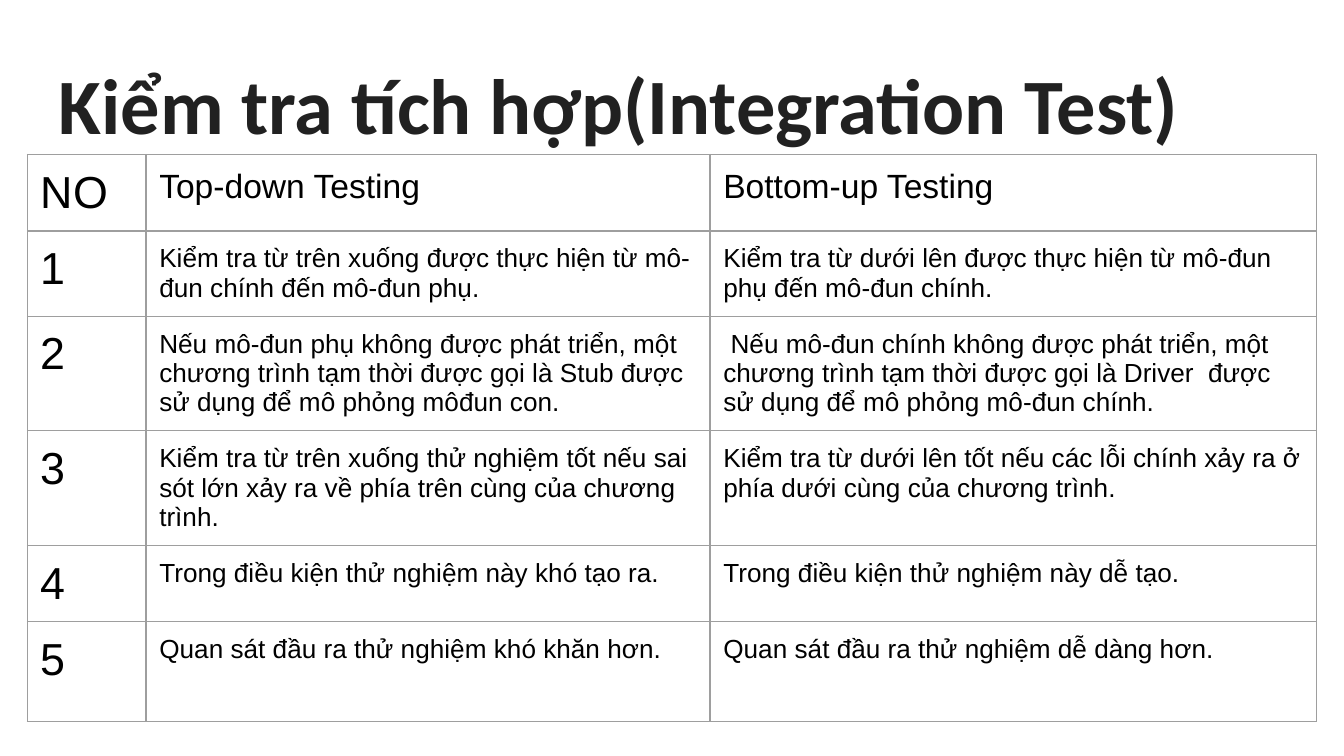
from typing import NamedTuple

from lxml import etree
from pptx import Presentation
from pptx.dml.color import RGBColor
from pptx.enum.text import MSO_ANCHOR, MSO_AUTO_SIZE, PP_ALIGN
from pptx.oxml.ns import qn
from pptx.util import Cm, Pt

TOP = MSO_ANCHOR.TOP
LEFT = PP_ALIGN.LEFT
NO_AUTOFIT = MSO_AUTO_SIZE.NONE
TITLE_LAYOUT = 5

COLORS = {"title": "212121", "text": "000000", "border": "9E9E9E"}
INSET = Cm(0.25)
COL_WIDTHS = [2.24, 10.66, 11.46]
NUMBER_SIZE, HEADER_SIZE, BODY_SIZE = 24, 18, 14


class Row(NamedTuple):
    height: float
    number: str
    top_down: str
    bottom_up: str
    size: int = BODY_SIZE


ROWS = [
    Row(1.43, "NO", "Top-down Testing", "Bottom-up Testing", HEADER_SIZE),
    Row(1.58, "1",
        "Kiểm tra từ trên xuống được thực hiện từ mô-đun chính đến mô-đun phụ.",
        "Kiểm tra từ dưới lên được thực hiện từ mô-đun phụ đến mô-đun chính."),
    Row(2.13, "2",
        "Nếu mô-đun phụ không được phát triển, một chương trình tạm thời "
        "được gọi là Stub được sử dụng để mô phỏng môđun con.",
        " Nếu mô-đun chính không được phát triển, một chương trình tạm thời "
        "được gọi là Driver  được sử dụng để mô phỏng mô-đun chính."),
    Row(2.13, "3",
        "Kiểm tra từ trên xuống thử nghiệm tốt nếu sai sót lớn xảy ra "
        "về phía trên cùng của chương trình.",
        "Kiểm tra từ dưới lên tốt nếu các lỗi chính xảy ra ở phía dưới cùng "
        "của chương trình."),
    Row(1.43, "4",
        "Trong điều kiện thử nghiệm này khó tạo ra.",
        "Trong điều kiện thử nghiệm này dễ tạo."),
    Row(1.88, "5",
        "Quan sát đầu ra thử nghiệm khó khăn hơn.",
        "Quan sát đầu ra thử nghiệm dễ dàng hơn."),
]


def add_run(p, text: str, font: str, size: int, color: str, bold: bool = False) -> None:
    p.alignment = LEFT
    r = p.add_run()
    r.text = text
    r.font.name = font
    r.font.size = Pt(size)
    r.font.bold = bold
    r.font.color.rgb = RGBColor.from_string(COLORS[color])


def set_insets(box) -> None:
    """Give a cell or text frame the same inset on every side."""
    box.margin_left = box.margin_right = INSET
    box.margin_top = box.margin_bottom = INSET
    box.vertical_anchor = TOP


def add_borders(cell) -> None:
    tc_pr = cell._tc.get_or_add_tcPr()
    for i, side in enumerate(("a:lnL", "a:lnR", "a:lnT", "a:lnB")):
        ln = etree.Element(qn(side), w=str(Pt(0.75)))
        fill = etree.SubElement(ln, qn("a:solidFill"))
        etree.SubElement(fill, qn("a:srgbClr"), val=COLORS["border"])
        tc_pr.insert(i, ln)


def fill_cell(cell, text: str, size: int) -> None:
    set_insets(cell)
    cell.fill.background()
    add_borders(cell)
    add_run(cell.text_frame.paragraphs[0], text, "Arial", size, "text")


def add_title(s, text: str) -> None:
    sp = s.shapes.title
    sp.left, sp.top, sp.width, sp.height = Cm(0.86), Cm(0.81), Cm(23.67), Cm(2.24)
    tf = sp.text_frame
    tf.word_wrap = True
    tf.auto_size = NO_AUTOFIT
    set_insets(tf)
    add_run(tf.paragraphs[0], text, "Calibri", 42, "title", bold=True)


def add_comparison(s, rows: list[Row]) -> None:
    table = s.shapes.add_table(
        len(rows), len(COL_WIDTHS), Cm(0.52), Cm(2.92),
        Cm(sum(COL_WIDTHS)), Cm(sum(row.height for row in rows))).table
    table.first_row = table.horz_banding = False
    for col, width in zip(table.columns, COL_WIDTHS):
        col.width = Cm(width)
    for i, row in enumerate(rows):
        table.rows[i].height = Cm(row.height)
        fill_cell(table.cell(i, 0), row.number, NUMBER_SIZE)
        fill_cell(table.cell(i, 1), row.top_down, row.size)
        fill_cell(table.cell(i, 2), row.bottom_up, row.size)


def main() -> None:
    prs = Presentation()
    prs.slide_width, prs.slide_height = Cm(25.4), Cm(14.29)
    s = prs.slides.add_slide(prs.slide_layouts[TITLE_LAYOUT])

    # Title
    add_title(s, "Kiểm tra tích hợp(Integration Test)")

    # Comparison table
    add_comparison(s, ROWS)

    prs.save("out.pptx")


if __name__ == "__main__":
    main()
